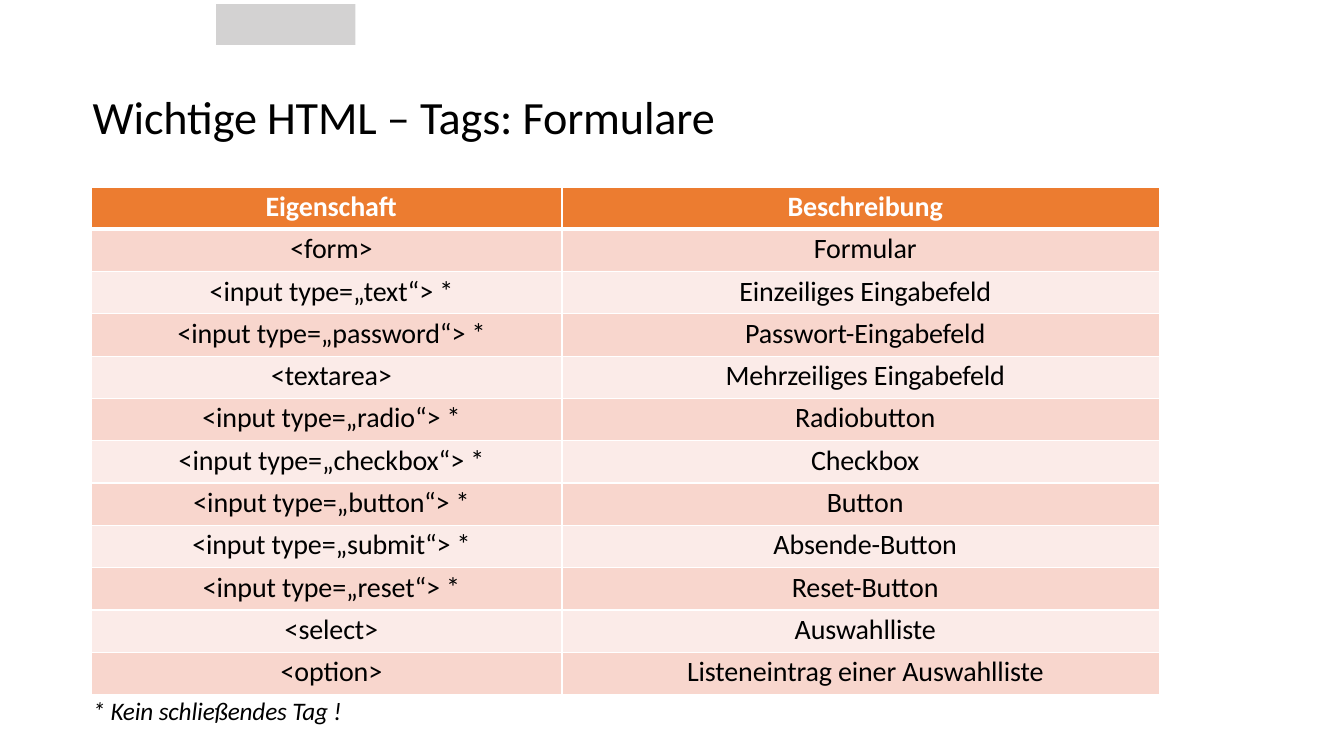
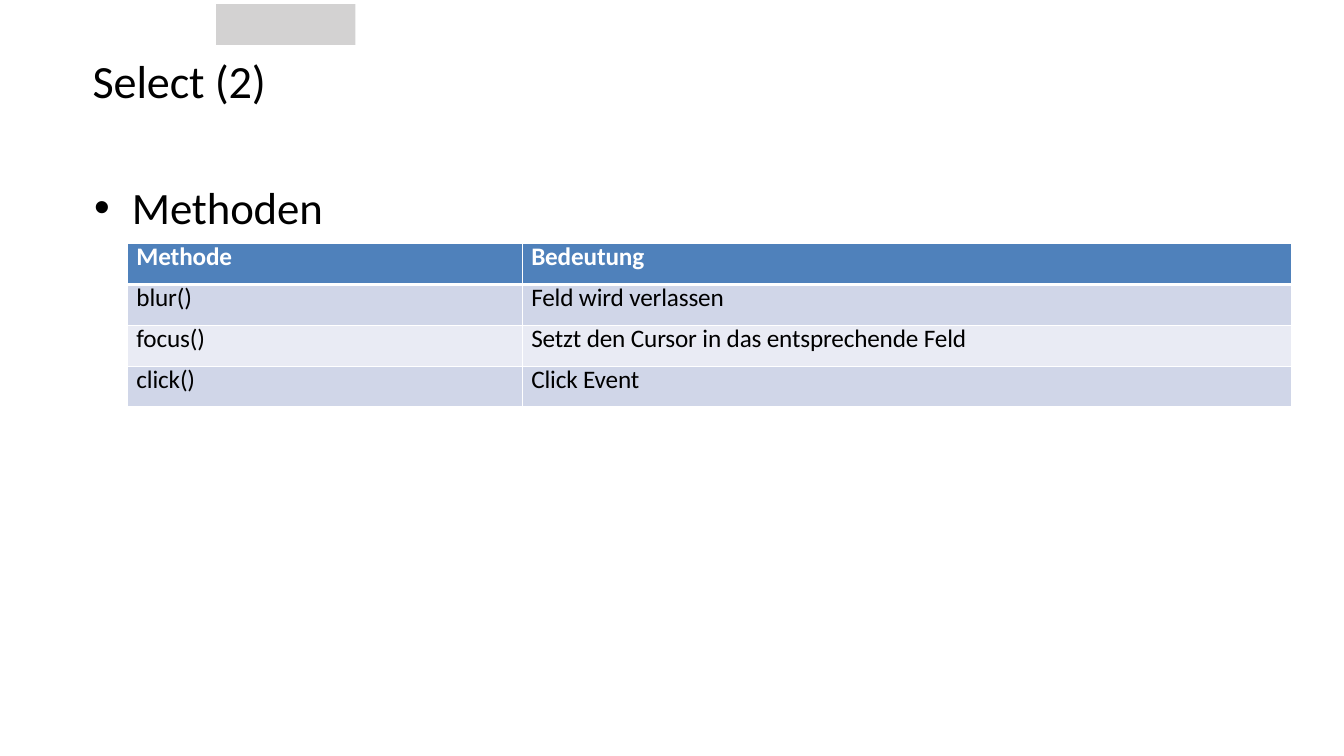
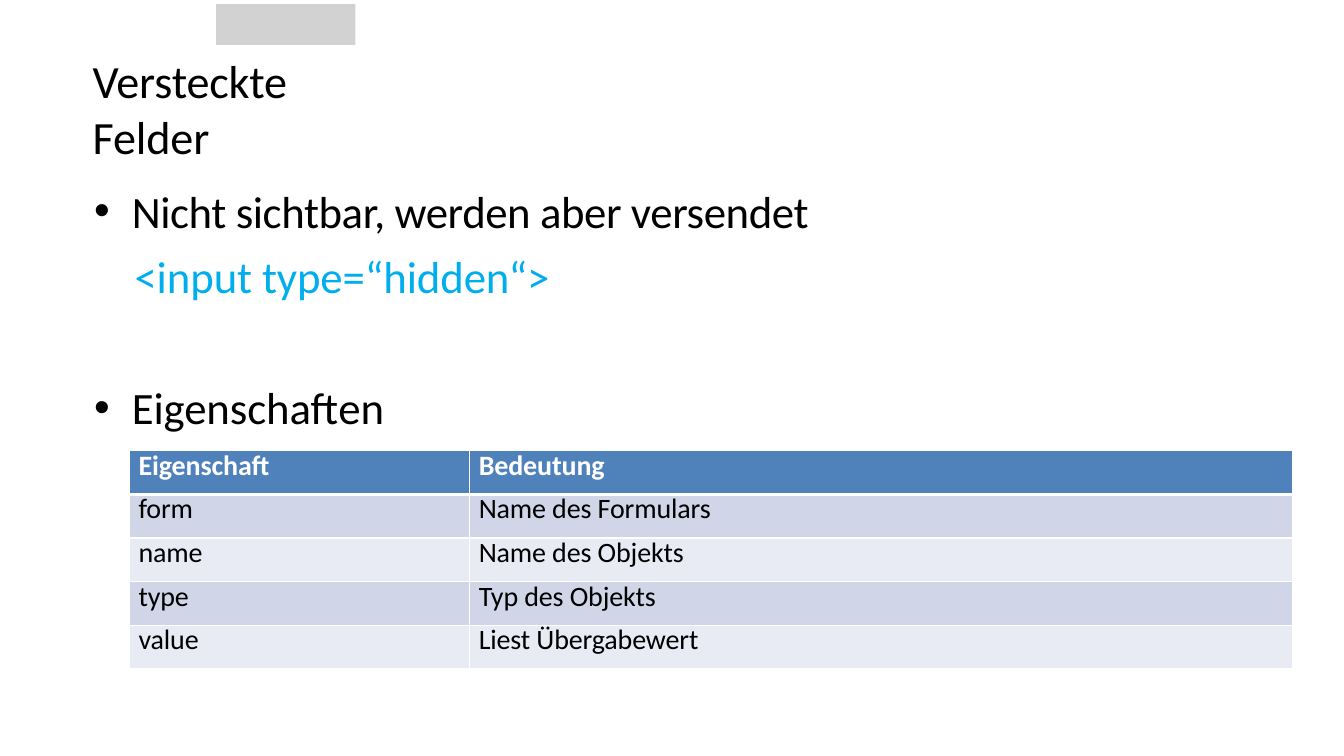
from dataclasses import dataclass

from lxml.etree import SubElement
from pptx import Presentation
from pptx.dml.color import RGBColor
from pptx.enum.shapes import MSO_SHAPE
from pptx.enum.text import MSO_ANCHOR, MSO_AUTO_SIZE, PP_ALIGN
from pptx.oxml import parse_xml
from pptx.oxml.ns import nsdecls, qn
from pptx.util import Pt


@dataclass(frozen=True)
class Theme:
    font: str = "Calibri"
    text: str = "000000"
    white: str = "FFFFFF"
    band: str = "D3D2D2"
    code: str = "00AEEE"
    # Header fill, odd rows, even rows
    orange: tuple = ("EC7C30", "F8D6CD", "FBEBE8")
    blue: tuple = ("4F81BB", "D0D6E8", "E9EBF4")
    title_size: float = 33
    body_size: float = 32
    table_size: float = 20
    small_size: float = 18
    thin_border: float = 1
    header_border: float = 3
    left: float = 66.2
    tracking: float = -0.1


THEME = Theme()


# Text helpers
def style_paragraph(para, size, color=THEME.text, bold=False, italic=False,
                    tracking=THEME.tracking):
    for span in para.runs:
        font = span.font
        font.name, font.size = THEME.font, Pt(size)
        font.bold, font.italic = bold, italic
        font.color.rgb = RGBColor.from_string(color)
        span._r.get_or_add_rPr().set("spc", str(round(tracking * 100)))


def prepare_frame(frame, top_inset=1):
    frame.word_wrap = True
    frame.auto_size = MSO_AUTO_SIZE.NONE
    frame.vertical_anchor = MSO_ANCHOR.TOP
    frame.margin_left = frame.margin_right = frame.margin_bottom = 0
    frame.margin_top = Pt(top_inset)


def indent_paragraph(para, left, bullet=False):
    properties = para._p.get_or_add_pPr()
    properties.set("marL", str(Pt(left)))
    if bullet:
        properties.set("indent", str(-Pt(27)))
        SubElement(properties, qn("a:buFont")).set("typeface", "Arial")
        SubElement(properties, qn("a:buChar")).set("char", "•")


def add_text_box(page, top, width, height, top_inset=1):
    box = page.shapes.add_textbox(Pt(THEME.left), Pt(top), Pt(width), Pt(height))
    prepare_frame(box.text_frame, top_inset)
    return box.text_frame


def add_bullet(para, text, before=0, tracking=THEME.tracking):
    para.text = text
    para.space_before = Pt(before)
    style_paragraph(para, THEME.body_size, tracking=tracking)
    indent_paragraph(para, 28, bullet=True)


# Shared slide frame
def add_layout_band(page):
    """Draw the grey band and move it to the layout, so all slides show it."""
    band = page.shapes.add_shape(
        MSO_SHAPE.RECTANGLE, Pt(154.5), Pt(3), Pt(99.5), Pt(29))
    band.shadow.inherit = False
    band.fill.solid()
    band.fill.fore_color.rgb = RGBColor.from_string(THEME.band)
    band.line.fill.background()
    page.slide_layout.shapes._spTree.insert(2, band._element)


def add_page(deck, title, top, width):
    page = deck.slides.add_slide(deck.slide_layouts.get_by_name("Title Only"))
    box = page.shapes.title
    box.left, box.top = Pt(THEME.left), Pt(top)
    box.width, box.height = Pt(width), Pt(42)
    prepare_frame(box.text_frame)
    box.text_frame.text = title
    para = box.text_frame.paragraphs[0]
    para.alignment = PP_ALIGN.LEFT
    style_paragraph(para, THEME.title_size)
    return page


# Tables
def set_borders(cell, row):
    widths = {"lnL": THEME.thin_border, "lnR": THEME.thin_border,
              "lnT": THEME.header_border if row == 1 else THEME.thin_border,
              "lnB": THEME.header_border if row == 0 else THEME.thin_border}
    properties = cell._tc.get_or_add_tcPr()
    for position, (side, width) in enumerate(widths.items()):
        properties.insert(position, parse_xml(
            f'<a:{side} {nsdecls("a")} w="{Pt(width)}"><a:solidFill>'
            f'<a:srgbClr val="{THEME.white}"/></a:solidFill></a:{side}>'))


def add_table(page, left, top, columns, row_height, rows, fills,
              size=THEME.table_size, line_height=None, centred=False):
    table = page.shapes.add_table(
        len(rows), len(columns), Pt(left), Pt(top),
        Pt(sum(columns)), Pt(row_height * len(rows))).table
    for column, width in zip(table.columns, columns):
        column.width = Pt(width)
    for row, texts in enumerate(rows):
        table.rows[row].height = Pt(row_height)
        header = row == 0
        fill = fills[0] if header else fills[2 - row % 2]
        for column, text in enumerate(texts):
            cell = table.cell(row, column)
            cell.margin_left = Pt(6.5)
            cell.margin_right = cell.margin_bottom = 0
            cell.margin_top = Pt(2 if centred else 0)
            cell.fill.solid()
            cell.fill.fore_color.rgb = RGBColor.from_string(fill)
            set_borders(cell, row)
            cell.text_frame.text = text
            para = cell.text_frame.paragraphs[0]
            para.alignment = PP_ALIGN.CENTER if centred else PP_ALIGN.LEFT
            if line_height:
                para.line_spacing = Pt(line_height)
            style_paragraph(para, size, THEME.white if header else THEME.text,
                            bold=header)


# Slides
def build_form_tags(deck):
    page = add_page(deck, "Wichtige HTML – Tags: Formulare", 62, 446)
    add_layout_band(page)
    rows = [
        ("Eigenschaft", "Beschreibung"),
        ("<form>", "Formular"),
        ("<input type=„text“> *", "Einzeiliges Eingabefeld"),
        ("<input type=„password“> *", "Passwort-Eingabefeld"),
        ("<textarea>", "Mehrzeiliges Eingabefeld"),
        ("<input type=„radio“> *", "Radiobutton"),
        ("<input type=„checkbox“> *", "Checkbox"),
        ("<input type=„button“> *", "Button"),
        ("<input type=„submit“> *", "Absende-Button"),
        ("<input type=„reset“> *", "Reset-Button"),
        ("<select>", "Auswahlliste"),
        ("<option>", "Listeneintrag einer Auswahlliste"),
    ]
    add_table(page, 65.5, 133.5, (336, 426.5), 30.22, rows, THEME.orange,
              centred=True)
    note = add_text_box(page, 496, 180, 24)
    note.text = "* Kein schließendes Tag !"
    style_paragraph(note.paragraphs[0], THEME.small_size, italic=True)


def build_select_methods(deck):
    page = add_page(deck, "Select (2)", 36.5, 126)
    body = add_text_box(page, 127.5, 167, 40)
    add_bullet(body.paragraphs[0], "Methoden")
    rows = [
        ("Methode", "Bedeutung"),
        ("blur()", "Feld wird verlassen"),
        ("focus()", "Setzt den Cursor in das entsprechende Feld"),
        ("click()", "Click Event"),
    ]
    add_table(page, 91, 174, (282, 549.5), 29.2, rows, THEME.blue,
              size=THEME.small_size, line_height=20.4)


def build_hidden_fields(deck):
    page = add_page(deck, "Versteckte Felder", 36.5, 228)
    body = add_text_box(page, 122.5, 520, 189, top_inset=8.5)
    add_bullet(body.paragraphs[0], "Nicht sichtbar, werden aber versendet",
               tracking=-0.3)
    code = body.add_paragraph()
    code.text = "<input type=“hidden“>"
    code.space_before = Pt(8)
    style_paragraph(code, THEME.body_size, THEME.code)
    indent_paragraph(code, 30)
    add_bullet(body.add_paragraph(), "Eigenschaften", before=55.5)
    rows = [
        ("Eigenschaft", "Bedeutung"),
        ("form", "Name des Formulars"),
        ("name", "Name des Objekts"),
        ("type", "Typ des Objekts"),
        ("value", "Liest Übergabewert"),
    ]
    add_table(page, 92.5, 322, (243, 587.5), 31.2, rows, THEME.blue,
              line_height=22.8)


def main():
    deck = Presentation()
    deck.slide_width, deck.slide_height = Pt(960), Pt(540)
    build_form_tags(deck)
    build_select_methods(deck)
    build_hidden_fields(deck)
    deck.save("out.pptx")


if __name__ == "__main__":
    main()
